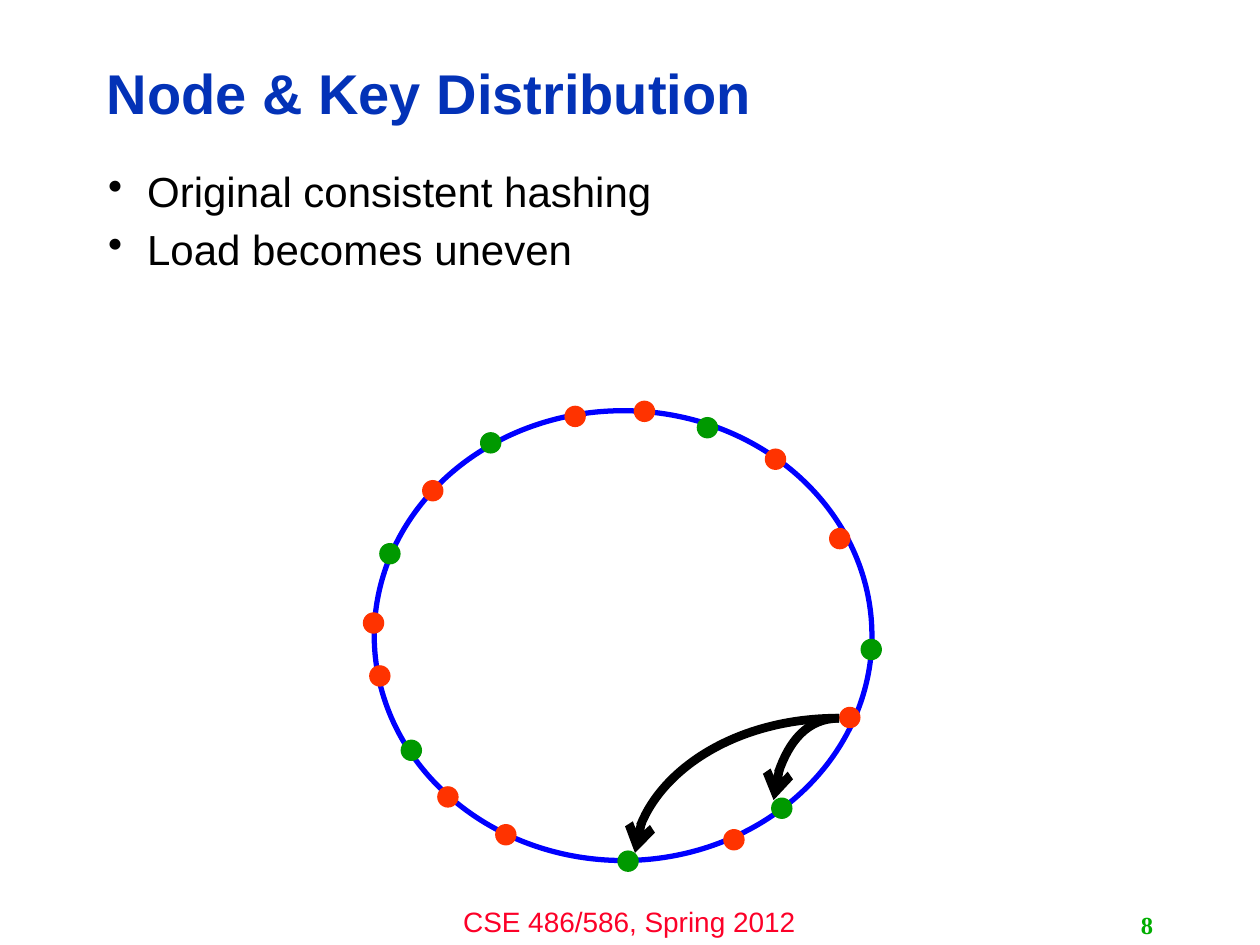
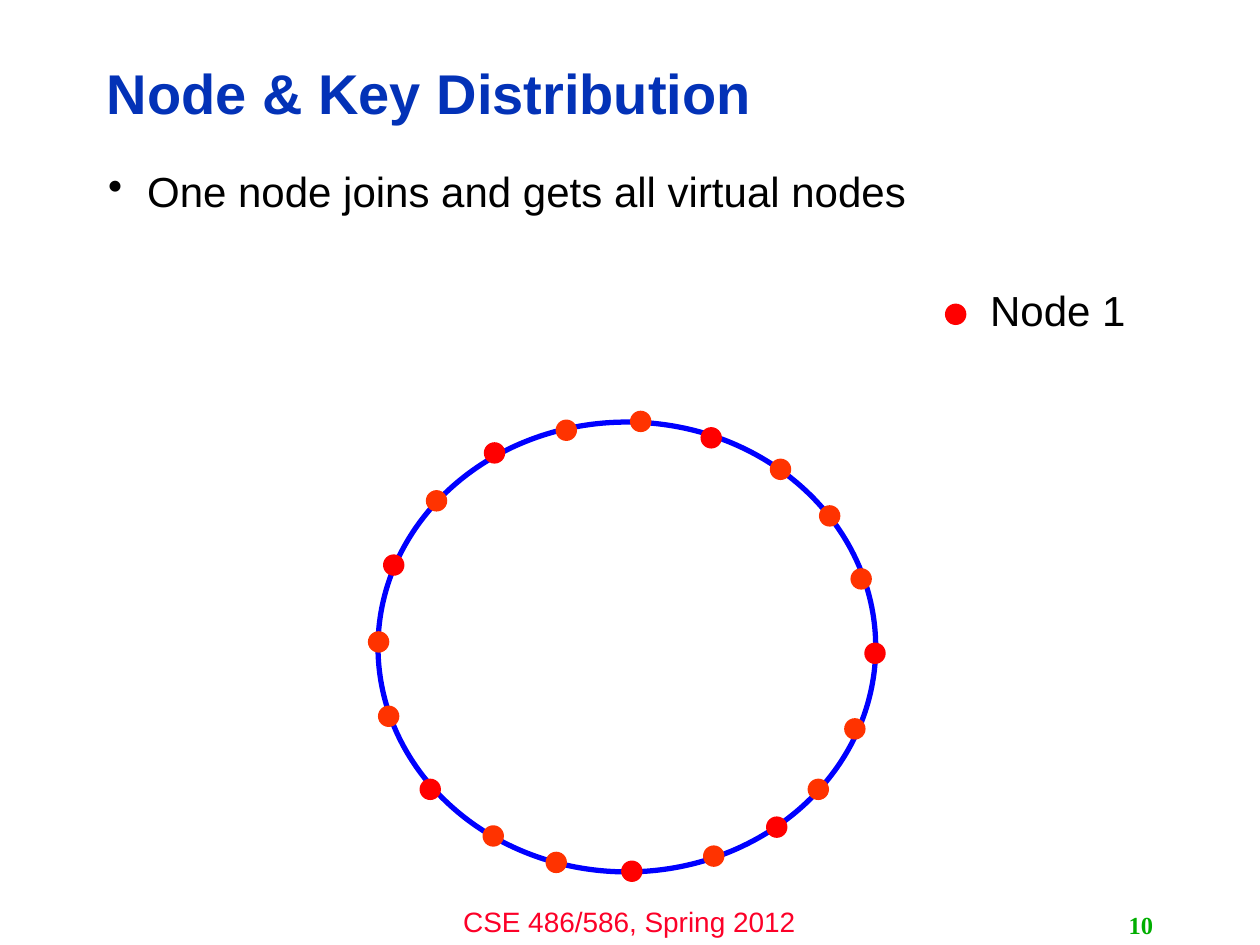
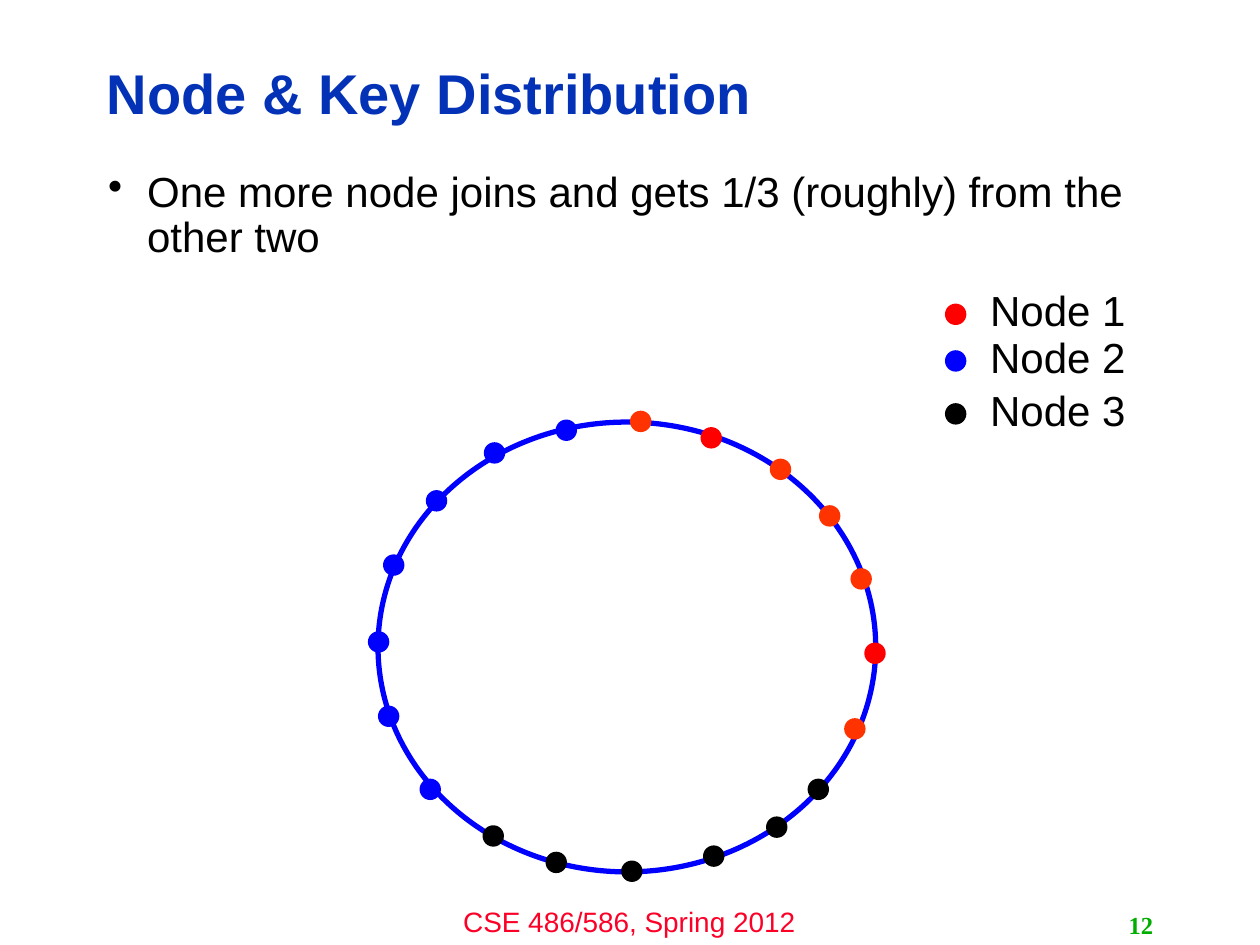
import dataclasses

import lxml.etree
import pptx
import pptx.dml.color
import pptx.enum.shapes
import pptx.enum.text
import pptx.oxml.ns
import pptx.util

Inches = pptx.util.Inches
Pt = pptx.util.Pt
Align = pptx.enum.text.PP_ALIGN
Anchor = pptx.enum.text.MSO_ANCHOR
qn = pptx.oxml.ns.qn


@dataclasses.dataclass(frozen=True)
class Theme:
    title_blue: str = "0332B7"
    footer_red: str = "FC0128"
    number_green: str = "00AE00"
    black: str = "000000"
    ring_blue: str = "0000FF"
    orange: str = "FF3300"
    green: str = "009900"
    red: str = "FF0000"
    font: str = "Arial"
    number_font: str = "Times New Roman"
    title_size: int = 32
    body_size: int = 24
    footer_size: int = 16
    number_size: int = 14


theme = Theme()
DOT_SIZE = 0.17
RING_SIZE = (3.95, 3.57)


def add_text(slide, box, lines, size, color, font=theme.font, bold=False,
             align=Align.LEFT, anchor=Anchor.TOP, spacing=1.0, wrap=True, bullet=False):
    """Add a text box with one paragraph per line; box is left, top, width, height."""
    frame = slide.shapes.add_textbox(*map(Inches, box)).text_frame
    frame.word_wrap = wrap
    frame.vertical_anchor = anchor
    for index, line in enumerate(lines):
        paragraph = frame.add_paragraph() if index else frame.paragraphs[0]
        paragraph.alignment = align
        paragraph.line_spacing = spacing
        if index:
            paragraph.space_before = Pt(0.3 * size)
        if bullet:
            properties = paragraph._p.get_or_add_pPr()
            properties.set("marL", str(Inches(0.31)))
            properties.set("indent", str(-Inches(0.31)))
            lxml.etree.SubElement(properties, qn("a:buChar")).set("char", "•")
        run = paragraph.add_run()
        run.text = line
        run.font.name = font
        run.font.size = Pt(size)
        run.font.bold = bold
        run.font.color.rgb = pptx.dml.color.RGBColor.from_string(color)


def add_ellipse(slide, position, size, fill=None, line=None):
    shape = slide.shapes.add_shape(
        pptx.enum.shapes.MSO_SHAPE.OVAL, *map(Inches, (*position, *size)))
    shape.shadow.inherit = False
    if fill:
        shape.fill.solid()
        shape.fill.fore_color.rgb = pptx.dml.color.RGBColor.from_string(fill)
    else:
        shape.fill.background()
    if line:
        shape.line.color.rgb = pptx.dml.color.RGBColor.from_string(line)
        shape.line.width = Pt(3)
    else:
        shape.line.fill.background()


# Dots run clockwise from the top of the ring.
hashing_dots = [
    (5.03, 3.18), (5.53, 3.31), (6.07, 3.56), (6.58, 4.19), (6.83, 5.07), (6.66, 5.61),
    (6.12, 6.33), (5.74, 6.58), (4.90, 6.75), (3.93, 6.54), (3.47, 6.24), (3.18, 5.87),
    (2.93, 5.28), (2.88, 4.86), (3.01, 4.31), (3.35, 3.81), (3.81, 3.43), (4.48, 3.22),
]
virtual_dots = [
    (5.00, 3.26), (5.56, 3.39), (6.11, 3.64), (6.50, 4.01), (6.75, 4.51), (6.86, 5.10),
    (6.70, 5.70), (6.41, 6.18), (6.08, 6.48), (5.58, 6.71), (4.93, 6.83), (4.33, 6.76),
    (3.83, 6.55), (3.33, 6.18), (3.00, 5.60), (2.92, 5.01), (3.04, 4.40), (3.38, 3.89),
    (3.84, 3.51), (4.41, 3.33),
]
dot_colors = {"O": theme.orange, "G": theme.green, "R": theme.red,
              "B": theme.ring_blue, "K": theme.black}
legend = [("Node 1", theme.red, 2.41), ("Node 2", theme.ring_blue, 2.78),
          ("Node 3", theme.black, 3.2)]

# Number, bullets, ring position, dots, dot colour letters, legend entries, arrow tips
slide_contents = [
    ("8", ["Original consistent hashing", "Load becomes uneven"],
     (2.97, 3.26), hashing_dots, "OGOOGOGOGOOGOOGOGO", [], [(6.14, 6.35), (5.04, 6.77)]),
    ("10", ["One node joins and gets all virtual nodes"],
     (3, 3.35), virtual_dots, "OROOOROOROROOROORORO", legend[:1], []),
    ("12", ["One more node joins and gets 1/3 (roughly) from the other two"],
     (3, 3.35), virtual_dots, "OROOORO" + "K" * 6 + "B" * 7, legend, []),
]
arrow_start = (6.66, 5.7)

presentation = pptx.Presentation()
presentation.slide_width = Inches(10)
presentation.slide_height = Inches(7.5)

for number, bullets, ring, dots, letters, entries, arrow_tips in slide_contents:
    slide = presentation.slides.add_slide(presentation.slide_layouts[6])
    add_text(slide, (3.33, 7.13, 3.33, 0.37), ["CSE 486/586, Spring 2012"],
             theme.footer_size, theme.footer_red, align=Align.CENTER)
    add_text(slide, (0.75, 0.36, 7.98, 0.81), ["Node & Key Distribution"],
             theme.title_size, theme.title_blue, bold=True, anchor=Anchor.MIDDLE, spacing=0.9)
    add_text(slide, (0.76, 1.31, 8.4, 5.39), bullets,
             theme.body_size, theme.black, spacing=0.9, bullet=True)
    add_text(slide, (7.17, 7.18, 2.08, 0.32), [number], theme.number_size,
             theme.number_green, theme.number_font, bold=True,
             align=Align.RIGHT, anchor=Anchor.MIDDLE)

    add_ellipse(slide, ring, RING_SIZE, line=theme.ring_blue)
    for dot, letter in zip(dots, letters):
        add_ellipse(slide, dot, (DOT_SIZE, DOT_SIZE), fill=dot_colors[letter])

    for label, color, top in entries:
        add_ellipse(slide, (7.5, top), (DOT_SIZE, DOT_SIZE), fill=color)
        add_text(slide, (7.75, top - 0.2, 1.29, 0.5), [label], theme.body_size,
                 theme.black, align=Align.CENTER, wrap=False)

    for tip_x, tip_y in arrow_tips:
        # Drawn upwards, then turned half round, so it leaves the key sideways.
        arrow = slide.shapes.add_connector(
            pptx.enum.shapes.MSO_CONNECTOR.CURVE, Inches(tip_x), Inches(tip_y),
            Inches(arrow_start[0]), Inches(arrow_start[1]))
        arrow.line.color.rgb = pptx.dml.color.RGBColor.from_string(theme.black)
        arrow.line.width = Pt(5)
        properties = arrow._element.spPr
        properties.find(qn("a:xfrm")).set("rot", "10800000")
        properties.find(qn("a:prstGeom")).set("prst", "curvedConnector2")
        lxml.etree.SubElement(properties.find(qn("a:ln")), qn("a:tailEnd")).set("type", "arrow")
        lxml.etree.SubElement(properties, qn("a:effectLst"))

presentation.save("out.pptx")
